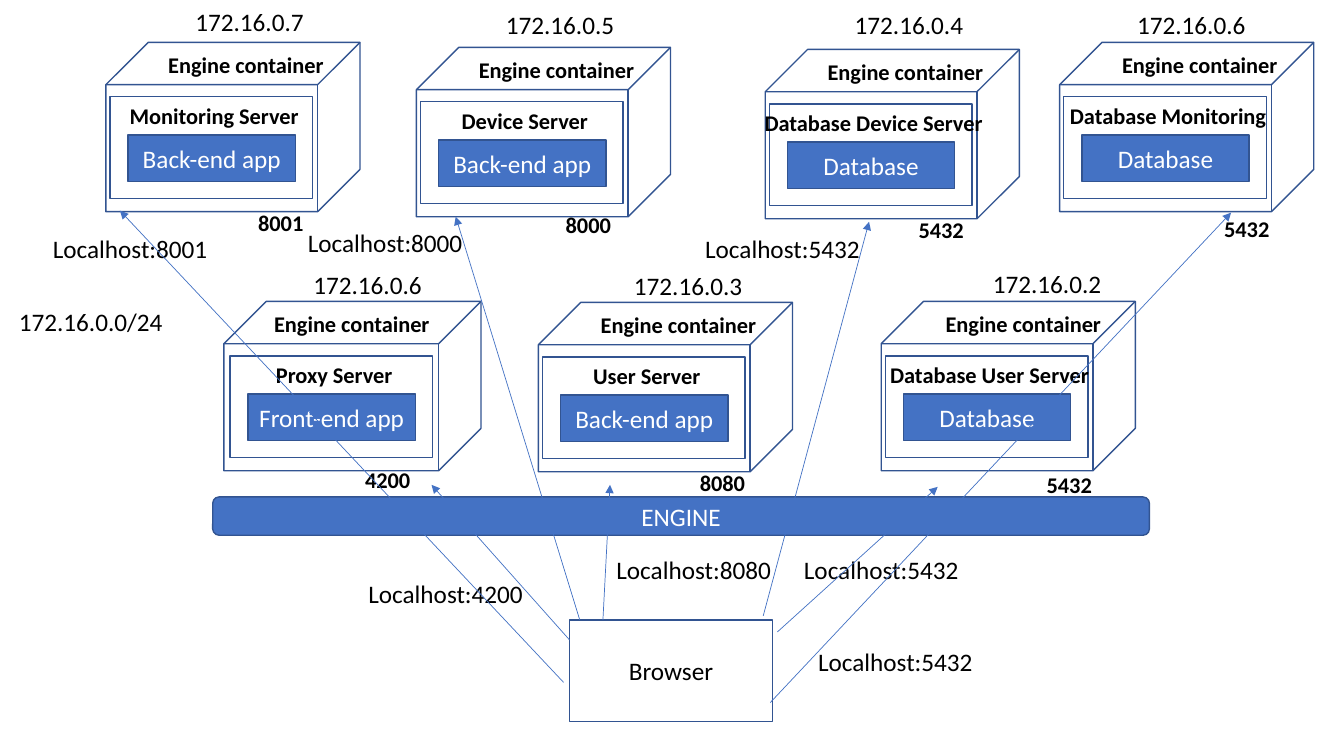
from lxml import etree
from pptx import Presentation
from pptx.dml.color import RGBColor
from pptx.enum.shapes import MSO_CONNECTOR, MSO_SHAPE
from pptx.enum.text import MSO_ANCHOR, PP_ALIGN
from pptx.oxml.ns import qn
from pptx.util import Pt

CUBE, RECT, ROUND = MSO_SHAPE.CUBE, MSO_SHAPE.RECTANGLE, MSO_SHAPE.ROUNDED_RECTANGLE
LINE = MSO_CONNECTOR.STRAIGHT
TOP, MIDDLE = MSO_ANCHOR.TOP, MSO_ANCHOR.MIDDLE
CENTER = PP_ALIGN.CENTER
PX = 9144
THEME = {
    "font": "Calibri",
    "blue": RGBColor(0x44, 0x72, 0xC4),
    "edge": RGBColor(0x32, 0x54, 0x91),
    "black": RGBColor(0, 0, 0),
    "white": RGBColor(255, 255, 255),
    "large": Pt(18),
    "small": Pt(16),
    "border": Pt(1),
    "arrow": Pt(0.5),
}

deck = Presentation()
deck.slide_width, deck.slide_height = 1333 * PX, 750 * PX
slide = deck.slides.add_slide(deck.slide_layouts[6])
shapes = slide.shapes


def write(shape, text, size="large", color="black", bold=False, anchor=TOP):
    frame = shape.text_frame
    frame.word_wrap = True
    frame.vertical_anchor = anchor
    para = frame.paragraphs[0]
    para.text = text
    para.alignment = CENTER
    font = para.font
    font.name, font.size, font.bold = THEME["font"], THEME[size], bold
    font.color.rgb = THEME[color]


def draw(kind, x, y, w, h, text="", solid=False):
    shape = shapes.add_shape(kind, x * PX, y * PX, w * PX, h * PX)
    shape.shadow.inherit = False
    if solid:
        shape.fill.solid()
        shape.fill.fore_color.rgb = THEME["blue"]
    else:
        shape.fill.background()
    shape.line.color.rgb = THEME["edge"]
    shape.line.width = THEME["border"]
    if text:
        write(shape, text, color="white" if solid else "black", anchor=MIDDLE)


hosts = [
    (222, 299, 255, 6, 37, "Proxy Server", "Front-end app", "172.16.0.6", 287, 262, "4200", 307, 458),
    (534, 300, 252, 4, 49, "User Server", "Back-end app", "172.16.0.3", 605, 263, "8080", 639, 461),
    (874, 299, 252, 4, 51, "Database User Server", "Database", "172.16.0.2", 961, 261, "5432", 983, 463),
    (759, 49, 252, 4, 49, "Database Device Server", "Database", "172.16.0.4", 824, 4, "5432", 856, 210),
    (413, 47, 252, 4, 49, "Device Server", "Back-end app", "172.16.0.5", 478, 4, "8000", 506, 205),
    (105, 42, 252, 4, 49, "Monitoring Server", "Back-end app", "172.16.0.7", 170, 1, "8001", 201, 203),
    (1051, 42, 252, 4, 49, "Database Monitoring", "Database", "172.16.0.6", 1104, 4, "5432", 1159, 209),
]
for x, y, w, inset, shift, name, app, ip, ip_x, ip_y, port, port_x, port_y in hosts:
    draw(CUBE, x, y, w, 168)
    left, top = x + inset, y + 54
    draw(RECT, left + 18, top + 38, 166, 46, app, True)
    draw(RECT, left, top, 201, 101)
    labels = [
        ("Engine container", x + shift, y + 4, 180),
        (name, left - 32, top, 271),
        (port, port_x, port_y, 155),
    ]
    for text, tx, ty, tw in labels:
        box = shapes.add_textbox(tx * PX, ty * PX, tw * PX, 37 * PX)
        write(box, text, "small", bold=True)
    box = shapes.add_textbox(ip_x * PX, ip_y * PX, 155 * PX, 40 * PX)
    write(box, ip)

draw(ROUND, 211, 493, 929, 38, "ENGINE", True)
draw(RECT, 565, 615, 201, 101, "Browser")

notes = [
    ("172.16.0.0/24", 4, 299, 172),
    ("Localhost:4200", 348, 569, 188),
    ("Localhost:8080", 594, 545, 188),
    ("Localhost:5432", 780, 545, 188),
    ("Localhost:5432", 682, 227, 188),
    ("Localhost:8000", 288, 221, 188),
    ("Localhost:5432", 794, 636, 188),
    ("Localhost:8001", 35, 227, 188),
]
for text, x, y, w in notes:
    box = shapes.add_textbox(x * PX, y * PX, w * PX, 40 * PX)
    write(box, text)

routes = [
    (565, 635, 428, 481),
    (598, 615, 605, 481),
    (771, 627, 930, 483),
    (757, 611, 862, 220),
    (575, 615, 452, 215),
    (559, 677, 119, 209),
    (764, 697, 1221, 211),
]
for x1, y1, x2, y2 in routes:
    route = shapes.add_connector(LINE, x1 * PX, y1 * PX, x2 * PX, y2 * PX)
    route.line.color.rgb = THEME["blue"]
    route.line.width = THEME["arrow"]
    etree.SubElement(route.line._get_or_add_ln(), qn("a:tailEnd"), type="triangle")
    etree.SubElement(route._element.spPr, qn("a:effectLst"))

deck.save("out.pptx")
